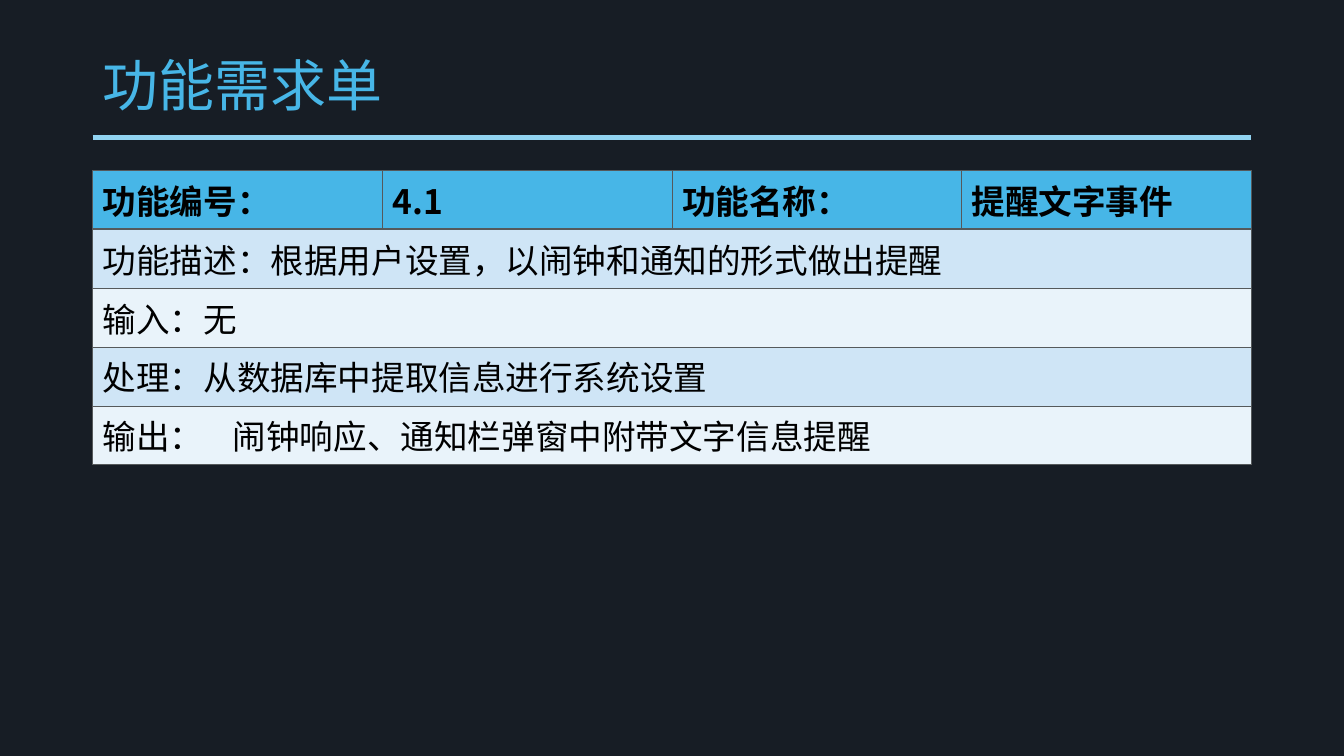
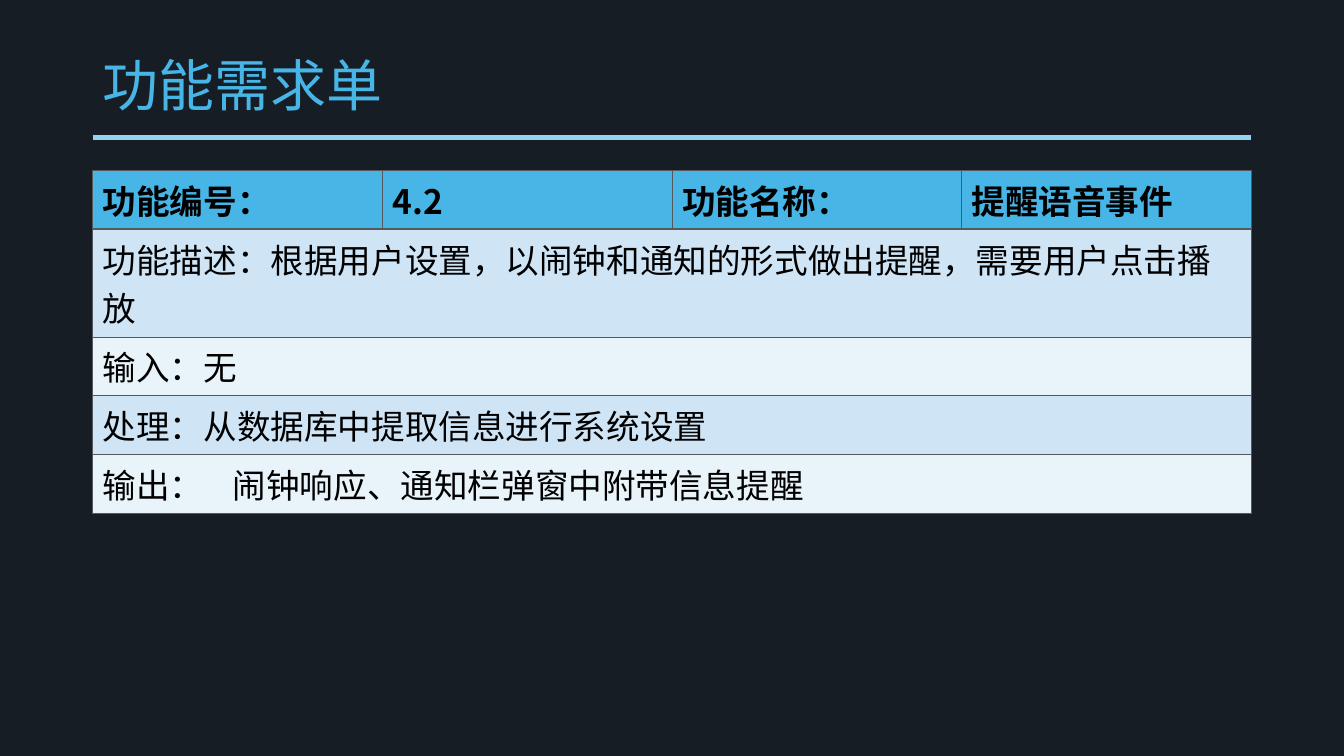
"""Build two requirement-sheet slides that share one title style and table layout."""
from dataclasses import dataclass

from lxml import etree
from pptx import Presentation
from pptx import util as u
from pptx.dml.color import RGBColor
from pptx.enum import lang, shapes, text
from pptx.oxml import ns

WIDTH, HEIGHT = 13.34, 7.5
LEFT, SPAN = 0.92, 11.5
TITLE_TOP, TITLE_HEIGHT = 0.4, 0.95
RULE_TOP = 1.36
TABLE_TOP, ROW_HEIGHT = 1.69, 0.48
COLUMNS = 4
OUTPUT_TAB = 1.29
THIN, THICK = 0.45, 1.47

BACKGROUND, ACCENT, RULE = "171D25", "47B6E7", "91D3F1"
BANDS = ("E9F3FA", "CFE5F6")
BORDER, INK = "55595B", "000000"
LATIN, CJK = "Arial", "Noto Sans CJK SC"


@dataclass(frozen=True)
class Requirement:
    """One requirement sheet."""

    number: str
    name: str
    description: str
    output: str

    def header(self) -> list[str]:
        """Return the four header cells."""
        return ["功能编号：", self.number, "功能名称：", self.name]

    def details(self) -> list[str]:
        """Return the full-width rows."""
        return [
            f"功能描述：{self.description}",
            "输入：无",
            "处理：从数据库中提取信息进行系统设置",
            f"输出：\t{self.output}",
        ]


REQUIREMENTS = [
    Requirement("4.1", "提醒文字事件", "根据用户设置，以闹钟和通知的形式做出提醒",
                "闹钟响应、通知栏弹窗中附带文字信息提醒"),
    Requirement("4.2", "提醒语音事件",
                "根据用户设置，以闹钟和通知的形式做出提醒，需要用户点击播放",
                "闹钟响应、通知栏弹窗中附带信息提醒"),
]


def rgb(value: str) -> RGBColor:
    """Turn a hex string into a colour."""
    return RGBColor.from_string(value)


def format_runs(p, size: float, color: str, font: str, bold: bool = False) -> None:
    """Format every run of a paragraph."""
    for r in p.runs:
        r.font.size = u.Pt(size)
        r.font.bold = bold
        r.font.color.rgb = rgb(color)
        r.font.name = font
        r.font.language_id = lang.MSO_LANGUAGE_ID.SIMPLIFIED_CHINESE
        etree.SubElement(r.font._element, ns.qn("a:ea"), typeface=CJK)


def set_borders(cell, top: float, bottom: float) -> None:
    """Draw the four borders of a cell."""
    tc_pr = cell._tc.get_or_add_tcPr()
    for side, width in (("L", THIN), ("R", THIN), ("T", top), ("B", bottom)):
        ln = etree.SubElement(tc_pr, ns.qn(f"a:ln{side}"), w=str(u.Pt(width)))
        fill = etree.SubElement(ln, ns.qn("a:solidFill"))
        etree.SubElement(fill, ns.qn("a:srgbClr"), val=BORDER)


def set_text(cell, content: str, bold: bool) -> None:
    """Write a cell, with a tab stop where the text holds a tab."""
    cell.text_frame.text = content
    p = cell.text_frame.paragraphs[0]
    if "\t" in content:
        tabs = etree.SubElement(p._p.get_or_add_pPr(), ns.qn("a:tabLst"))
        etree.SubElement(tabs, ns.qn("a:tab"), pos=str(u.Inches(OUTPUT_TAB)), algn="l")
    format_runs(p, 24, INK, CJK, bold)


def add_title(s, content: str) -> None:
    """Fill the title and draw the rule below it."""
    tf = s.shapes.title.text_frame
    tf.text = content
    tf.auto_size = text.MSO_AUTO_SIZE.NONE
    tf.vertical_anchor = text.MSO_ANCHOR.MIDDLE
    p = tf.paragraphs[0]
    p.alignment = text.PP_ALIGN.LEFT
    p.line_spacing = 0.9
    format_runs(p, 40, ACCENT, LATIN)
    y = u.Inches(RULE_TOP)
    rule = s.shapes.add_connector(shapes.MSO_CONNECTOR.STRAIGHT, u.Inches(LEFT), y,
                                  u.Inches(LEFT + SPAN), y)
    rule.line.color.rgb = rgb(RULE)
    rule.line.width = u.Pt(3.5)
    etree.SubElement(rule._element.spPr, ns.qn("a:effectLst"))


def add_sheet(s, requirement: Requirement) -> None:
    """Add the table of one requirement."""
    rows = [requirement.header()] + [[line] for line in requirement.details()]
    table = s.shapes.add_table(len(rows), COLUMNS, u.Inches(LEFT), u.Inches(TABLE_TOP),
                               u.Inches(SPAN), u.Inches(ROW_HEIGHT * len(rows))).table
    for i, contents in enumerate(rows):
        is_header = i == 0
        if not is_header:
            table.cell(i, 0).merge(table.cell(i, COLUMNS - 1))
        for j in range(COLUMNS):
            cell = table.cell(i, j)
            set_borders(cell, THICK if i == 1 else THIN, THICK if is_header else THIN)
            cell.fill.solid()
            cell.fill.fore_color.rgb = rgb(ACCENT if is_header else BANDS[i % 2])
        for j, content in enumerate(contents):
            set_text(table.cell(i, j), content, is_header)


def main() -> None:
    """Build and save the presentation."""
    prs = Presentation()
    prs.slide_width, prs.slide_height = u.Inches(WIDTH), u.Inches(HEIGHT)
    background = prs.slide_master.background.fill
    background.solid()
    background.fore_color.rgb = rgb(BACKGROUND)
    layout = prs.slide_layouts.get_by_name("Title Only")
    sp = layout.placeholders[0]
    sp.left, sp.top = u.Inches(LEFT), u.Inches(TITLE_TOP)
    sp.width, sp.height = u.Inches(SPAN), u.Inches(TITLE_HEIGHT)
    for requirement in REQUIREMENTS:
        s = prs.slides.add_slide(layout)
        add_title(s, "功能需求单")
        add_sheet(s, requirement)
    prs.save("out.pptx")


if __name__ == "__main__":
    main()
